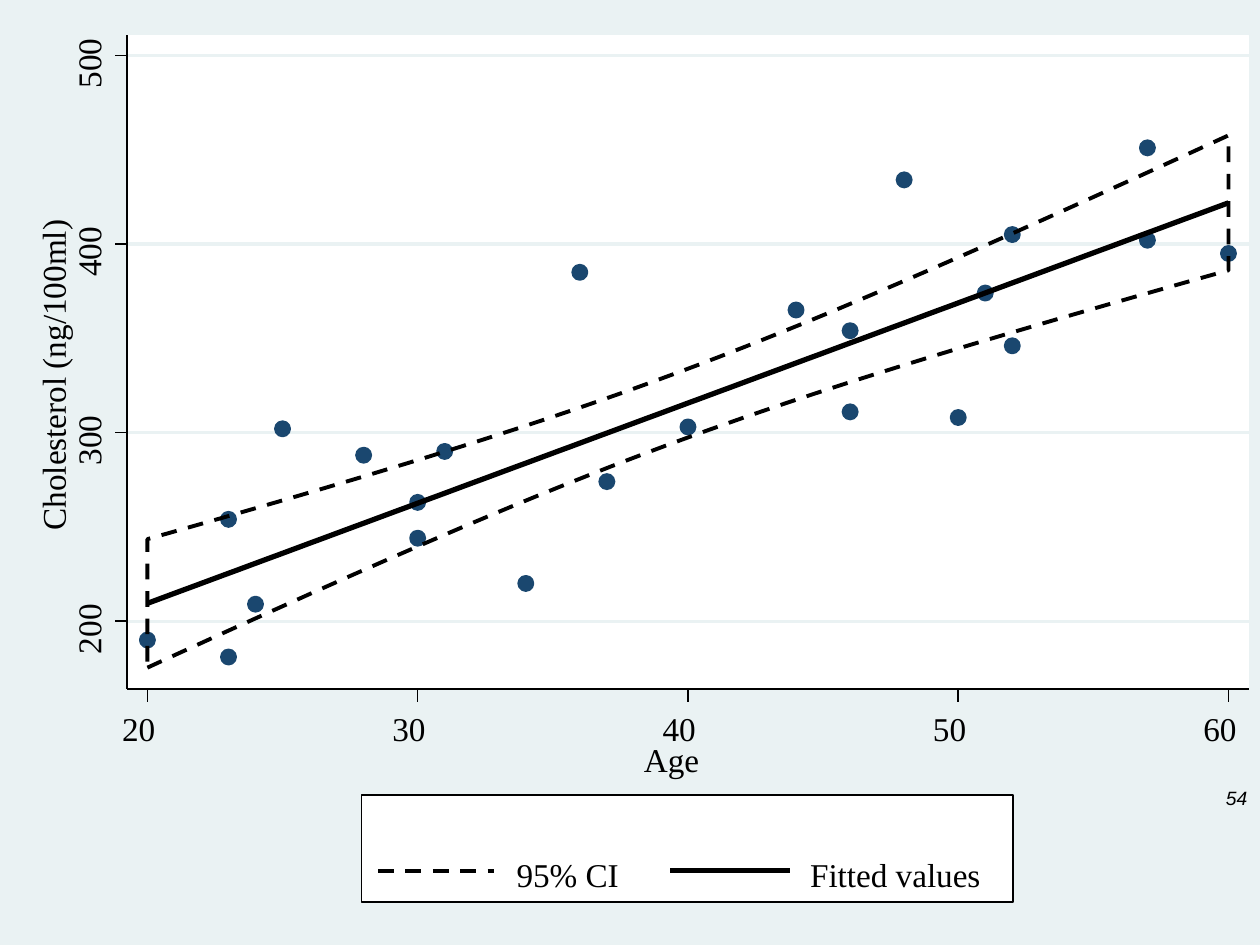
import math
from dataclasses import dataclass

import pptx
import pptx.dml.color
import pptx.enum.dml
import pptx.enum.shapes
import pptx.enum.text
import pptx.oxml.ns
import pptx.util
from lxml import etree

Inches = pptx.util.Inches
Align = pptx.enum.text.PP_ALIGN
Anchor = pptx.enum.text.MSO_ANCHOR
Preset = pptx.enum.shapes.MSO_SHAPE
DASH = pptx.enum.dml.MSO_LINE.DASH


@dataclass(frozen=True)
class Theme:
    canvas: str = "EAF2F3"
    panel: str = "FFFFFF"
    ink: str = "000000"
    marker: str = "1A476F"
    label_font: str = "Times New Roman"
    number_font: str = "Arial"
    label_size: float = 19
    number_size: float = 11
    thin: float = 0.88
    medium: float = 1.75
    dashed: float = 2.25
    thick: float = 3


@dataclass(frozen=True)
class Box:
    left: float
    top: float
    width: float
    height: float

    @property
    def right(self):
        return self.left + self.width

    @property
    def bottom(self):
        return self.top + self.height

    def lengths(self):
        return [Inches(value) for value in (self.left, self.top, self.width, self.height)]


THEME = Theme()
AGE_TICKS = range(20, 61, 10)
CHOLESTEROL_TICKS = range(200, 501, 100)
OBSERVATIONS = [
    (46, 354), (20, 190), (52, 405), (30, 263), (57, 451), (25, 302),
    (28, 288), (36, 385), (57, 402), (44, 365), (24, 209), (31, 290),
    (52, 346), (23, 254), (60, 395), (48, 434), (51, 374), (50, 308),
    (34, 220), (46, 311), (23, 181), (37, 274), (40, 303), (30, 244),
]


def apply_format(target, values):
    for name, value in values.items():
        setattr(target, name, value)


def color(value):
    return pptx.dml.color.RGBColor.from_string(value)


def style_line(line, line_color, width, dash=None):
    line.color.rgb = color(line_color)
    apply_format(line, {"width": pptx.util.Pt(width), "dash_style": dash})


def add_preset(slide, preset, box, fill, line_color, width):
    shape = slide.shapes.add_shape(preset, *box.lengths())
    shape.shadow.inherit = False
    shape.fill.solid()
    shape.fill.fore_color.rgb = color(fill)
    style_line(shape.line, line_color, width)
    return shape


def add_line(slide, start, end, line_color, width, dash=None):
    ends = [Inches(value) for value in (*start, *end)]
    connector = slide.shapes.add_connector(pptx.enum.shapes.MSO_CONNECTOR.STRAIGHT, *ends)
    style_line(connector.line, line_color, width, dash)
    properties = connector._element.spPr
    etree.SubElement(properties, pptx.oxml.ns.qn("a:effectLst"))


def add_outline(slide, points, width, dash=None, close=False):
    vertices = [(Inches(x), Inches(y)) for x, y in points]
    builder = slide.shapes.build_freeform(*vertices[0])
    builder.add_line_segments(vertices[1:], close=close)
    shape = builder.convert_to_shape()
    shape.shadow.inherit = False
    shape.fill.background()
    style_line(shape.line, THEME.ink, width, dash)


def add_label(slide, box, text, rotation=0, alignment=Align.LEFT, anchor=Anchor.TOP,
              font=THEME.label_font, size=THEME.label_size, italic=False):
    shape = slide.shapes.add_textbox(*box.lengths())
    shape.rotation = rotation
    apply_format(shape.text_frame, {
        "word_wrap": True, "vertical_anchor": anchor, "margin_left": 0,
        "margin_right": 0, "margin_top": 0, "margin_bottom": 0,
    })
    paragraph = shape.text_frame.paragraphs[0]
    paragraph.alignment = alignment
    run = paragraph.add_run()
    run.text = text
    apply_format(run.font, {"name": font, "size": pptx.util.Pt(size), "italic": italic})
    run.font.color.rgb = color(THEME.ink)


def plot_position(box, age, cholesterol):
    x = box.left + 0.16 + (age - 20) * 0.2145
    y = box.top + 0.16 + (500 - cholesterol) * 4.49 / 300
    return x, y


def fitted(age):
    return 209.4 + 5.31 * (age - 20)


def half_width(age):
    return math.hypot(18.2, 1.49 * (age - 39.33))


def draw_panel(slide, box):
    add_preset(slide, Preset.RECTANGLE, box, THEME.panel, THEME.panel, THEME.thin)
    for tick in CHOLESTEROL_TICKS:
        y = plot_position(box, 20, tick)[1]
        add_line(slide, (box.left, y), (box.right, y), THEME.canvas, THEME.medium)


def draw_observations(slide, box):
    diameter = 0.11
    for observation in OBSERVATIONS:
        x, y = plot_position(box, *observation)
        marker_box = Box(x - diameter / 2, y - diameter / 2, diameter, diameter)
        add_preset(slide, Preset.OVAL, marker_box, THEME.marker, THEME.marker, THEME.medium)


def draw_regression(slide, box):
    ages = [20 + step * 0.4 for step in range(101)]
    lower = [plot_position(box, age, fitted(age) - half_width(age)) for age in ages]
    upper = [plot_position(box, age, fitted(age) + half_width(age)) for age in ages]
    add_outline(slide, lower + upper[::-1], THEME.dashed, DASH, close=True)
    add_outline(slide, [plot_position(box, age, fitted(age)) for age in ages], THEME.thick)


def draw_axes(slide, box):
    tick_length = 0.1
    corner = (box.left, box.bottom)
    add_line(slide, corner, (box.left, box.top), THEME.ink, THEME.thin)
    add_line(slide, corner, (box.right, box.bottom), THEME.ink, THEME.thin)
    for tick in CHOLESTEROL_TICKS:
        y = plot_position(box, 20, tick)[1]
        add_line(slide, (box.left, y), (box.left - tick_length, y), THEME.ink, THEME.thin)
        add_label(slide, Box(box.left - 0.53, y - 0.12, 0.44, 0.32), str(tick), 270)
    for tick in AGE_TICKS:
        x = plot_position(box, tick, 200)[0]
        add_line(slide, (x, box.bottom), (x, box.bottom + tick_length), THEME.ink, THEME.thin)
        add_label(slide, Box(x - 0.2, box.bottom + 0.15, 0.3, 0.32), str(tick))
    add_label(slide, Box(box.left - 1.93, box.top + 2.43, 2.68, 0.32),
              "Cholesterol (ng/100ml)", 270)
    add_label(slide, Box(box.left + 3.72, box.bottom + 0.4, 1.2, 0.32), "Age",
              alignment=Align.CENTER)


def draw_legend(slide, box):
    add_preset(slide, Preset.RECTANGLE, box, THEME.panel, THEME.ink, THEME.thin)
    entries = [
        (0.13, 0.92, 1.23, 0.87, "95% CI", THEME.dashed, DASH),
        (2.45, 0.95, 3.56, 1.5, "Fitted values", THEME.thick, None),
    ]
    y = box.top + 0.6
    for key_left, key_width, text_left, text_width, text, width, dash in entries:
        x = box.left + key_left
        add_line(slide, (x, y), (x + key_width, y), THEME.ink, width, dash)
        add_label(slide, Box(box.left + text_left, box.top + 0.47, text_width, 0.32), text)


def draw_slide_number(slide, box):
    add_label(slide, box, "54", alignment=Align.RIGHT, anchor=Anchor.MIDDLE,
              font=THEME.number_font, size=THEME.number_size, italic=True)


def main():
    presentation = pptx.Presentation()
    apply_format(presentation, {"slide_width": Inches(10), "slide_height": Inches(7.5)})
    slide = presentation.slides.add_slide(presentation.slide_layouts[6])
    add_preset(slide, Preset.RECTANGLE, Box(0, 0, 10, 7.5),
               THEME.canvas, THEME.canvas, THEME.thin)
    plot = Box(1.01, 0.28, 8.9, 5.19)
    for draw in (draw_panel, draw_observations, draw_regression, draw_axes):
        draw(slide, plot)
    draw_legend(slide, Box(2.87, 6.31, 5.17, 0.85))
    draw_slide_number(slide, Box(9.45, 6.13, 0.45, 0.4))
    presentation.save("out.pptx")


if __name__ == "__main__":
    main()
